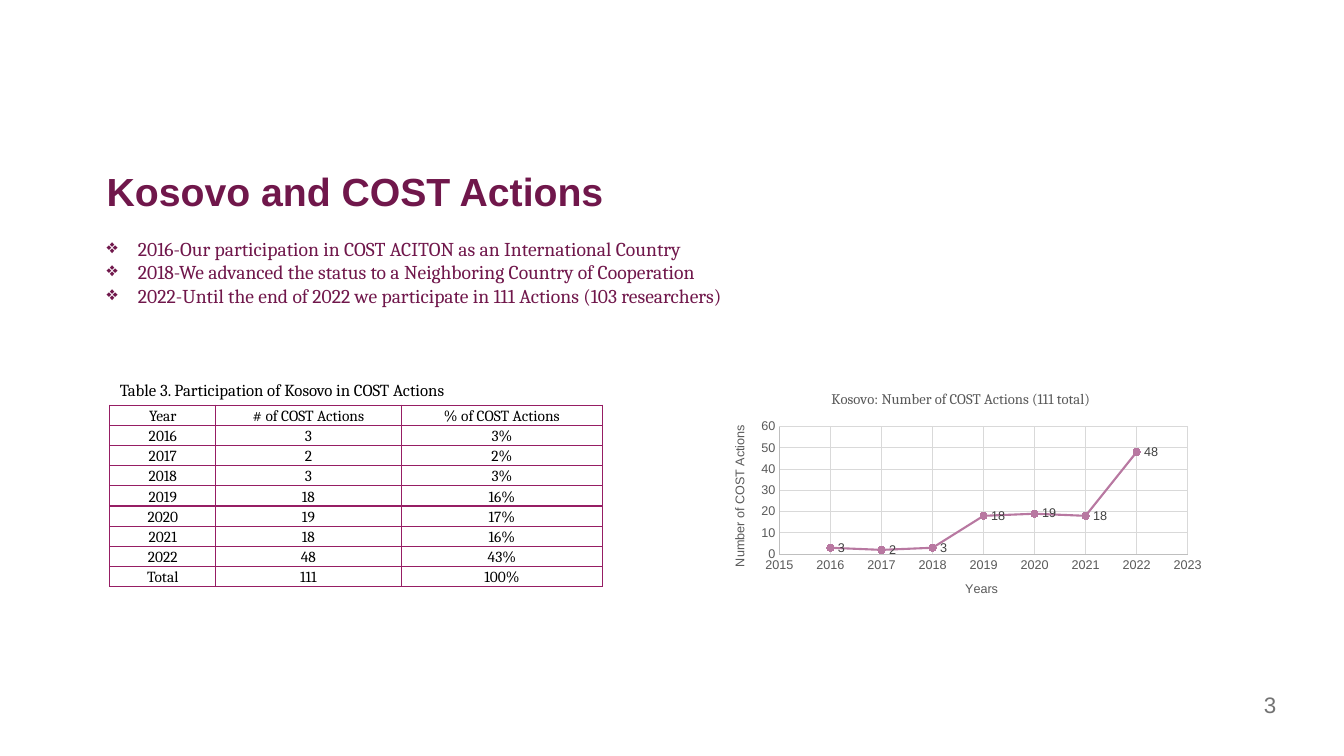
from lxml.etree import SubElement
from pptx import Presentation
from pptx.chart.data import XyChartData
from pptx.chart.datalabel import DataLabels
from pptx.dml.color import RGBColor
from pptx.enum.chart import XL_CHART_TYPE, XL_LABEL_POSITION, XL_MARKER_STYLE, XL_TICK_MARK
from pptx.enum.text import MSO_ANCHOR, PP_ALIGN
from pptx.oxml import parse_xml
from pptx.oxml.ns import nsdecls, qn
from pptx.util import Inches, Pt

ink = RGBColor.from_string
PLUM, MAGENTA, ROSE, BLACK, GREY = "70174B", "961E64", "B878A1", "000000", "595959"

deck = Presentation()
deck.slide_width, deck.slide_height = Inches(13.33), Inches(7.5)
column, row = deck.slide_width / 80, deck.slide_height / 45
page = deck.slides.add_slide(deck.slide_layouts[6])


def area(left, top, width, height):
    return int(left * column), int(top * row), int(width * column), int(height * row)


def write(para, text, size, face, color, bold=False):
    span = para.add_run()
    span.text = text
    span.font.size, span.font.name, span.font.bold = Pt(size), face, bold
    span.font.color.rgb = ink(color)


title_box = page.shapes.add_textbox(*area(5.76, 9.96, 54.67, 3.84))
title_box.text_frame.word_wrap = True
title_para = title_box.text_frame.paragraphs[0]
title_para.line_spacing = 0.9
write(title_para, "Kosovo and COST Actions", 28, "Arial", PLUM, True)

milestones = [
    "2016-Our participation in COST ACITON as an International Country",
    "2018-We advanced the status to a Neighboring Country of Cooperation",
    "2022-Until the end of 2022 we participate in 111 Actions (103 researchers)",
]
body_frame = page.shapes.add_textbox(*area(5.76, 13.8, 68.96, 24.06)).text_frame
body_frame.word_wrap = True
for index, milestone in enumerate(milestones):
    para = body_frame.add_paragraph() if index else body_frame.paragraphs[0]
    settings = para._p.get_or_add_pPr()
    settings.set("marL", str(Inches(0.31)))
    settings.set("indent", str(-Inches(0.31)))
    bullet_color = SubElement(settings, qn("a:buClr"))
    SubElement(bullet_color, qn("a:srgbClr"), val=PLUM)
    SubElement(settings, qn("a:buChar"), char="❖")
    write(para, milestone, 14, "Cambria", PLUM)

actions = {2016: 3, 2017: 2, 2018: 3, 2019: 18, 2020: 19, 2021: 18, 2022: 48}
total = sum(actions.values())
records = [("Year", "# of COST Actions", "% of COST Actions")]
for year, count in [*actions.items(), ("Total", total)]:
    records.append((str(year), str(count), f"{count / total:.0%}"))

table = page.shapes.add_table(len(records), 3, *area(6.54, 24.12, 29.34, 10.8)).table
table.first_row = table.horz_banding = False
for table_column, width in zip(table.columns, (6.3, 11.04, 12)):
    table_column.width = int(width * column)
for table_row, record in zip(table.rows, records):
    table_row.height = int(1.2 * row)
    for cell, text in zip(table_row.cells, record):
        cell.margin_left = cell.margin_right = cell.margin_top = Inches(0.01)
        cell.margin_bottom = 0
        cell.vertical_anchor = MSO_ANCHOR.BOTTOM
        for side in ("lnL", "lnR", "lnT", "lnB"):
            border = SubElement(cell._tc.get_or_add_tcPr(), qn(f"a:{side}"), w=str(Pt(1)))
            border_fill = SubElement(border, qn("a:solidFill"))
            SubElement(border_fill, qn("a:srgbClr"), val=MAGENTA)
        cell.fill.background()
        para = cell.text_frame.paragraphs[0]
        para.alignment = PP_ALIGN.CENTER
        write(para, text, 11, "Cambria", BLACK)

caption_frame = page.shapes.add_textbox(*area(6.54, 22.32, 24.6, 1.8)).text_frame
caption_frame.word_wrap = True
write(caption_frame.paragraphs[0], "Table 3. Participation of Kosovo in COST Actions", 12, "Cambria", BLACK)

chart_data = XyChartData()
points = chart_data.add_series("Series 1")
for year, count in actions.items():
    points.add_data_point(year, count)
chart = page.shapes.add_chart(
    XL_CHART_TYPE.XY_SCATTER_LINES, *area(42.2, 22.38, 30, 14.34), chart_data
).chart
chart.has_legend = False
chart.font.size, chart.font.name = Pt(10), "Arial"
chart.font.color.rgb = ink(BLACK)
chart.has_title = True
write(chart.chart_title.text_frame.paragraphs[0],
      "Kosovo: Number of COST Actions (111 total)", 10.5, "Cambria", GREY)

axes = [
    (chart.category_axis, "Years", 2015, 2023, 1),
    (chart.value_axis, "Number of COST Actions", 0, 60, 10),
]
for axis, name, low, high, step in axes:
    axis.minimum_scale, axis.maximum_scale, axis.major_unit = low, high, step
    axis.major_tick_mark = axis.minor_tick_mark = XL_TICK_MARK.NONE
    axis.has_major_gridlines = True
    for line, color in ((axis.format.line, "BFBFBF"), (axis.major_gridlines.format.line, "D9D9D9")):
        line.color.rgb = ink(color)
        line.width = Pt(0.75)
    labels = axis.tick_labels
    labels.number_format, labels.number_format_is_linked = "General", False
    labels.font.size, labels.font.name = Pt(9), "Arial"
    labels.font.color.rgb = ink(GREY)
    write(axis.axis_title.text_frame.paragraphs[0], name, 9, "Arial", GREY)

plot = chart.plots[0]
plot.vary_by_categories = False
series = plot.series[0]
series.format.line.color.rgb = ink(ROSE)
series.format.line.width = Pt(1.5)
series.marker.style, series.marker.size = XL_MARKER_STYLE.CIRCLE, 5
series.marker.format.fill.solid()
series.marker.format.fill.fore_color.rgb = ink(ROSE)
series.marker.format.line.color.rgb = ink(ROSE)
value_labels = DataLabels(series._element.get_or_add_dLbls())
value_labels.show_value = True
value_labels.position = XL_LABEL_POSITION.RIGHT
value_labels.font.size, value_labels.font.name = Pt(9), "Arial"
value_labels.font.color.rgb = ink("404040")

plot_area = chart._chartSpace.chart.plotArea
for automatic in plot_area.findall(qn("c:layout")):
    plot_area.remove(automatic)
plot_area.insert(0, parse_xml(
    f'<c:layout {nsdecls("c")}><c:manualLayout><c:layoutTarget val="inner"/>'
    '<c:xMode val="edge"/><c:yMode val="edge"/><c:x val="0.14"/><c:y val="0.21"/>'
    '<c:w val="0.81"/><c:h val="0.53"/></c:manualLayout></c:layout>'))

number_frame = page.shapes.add_textbox(*area(61.8, 40.8, 14.76, 2.22)).text_frame
number_frame.word_wrap = True
number_frame.vertical_anchor = MSO_ANCHOR.MIDDLE
number_frame.paragraphs[0].alignment = PP_ALIGN.RIGHT
write(number_frame.paragraphs[0], "3", 16, "Arial", "737373")

deck.save("out.pptx")
